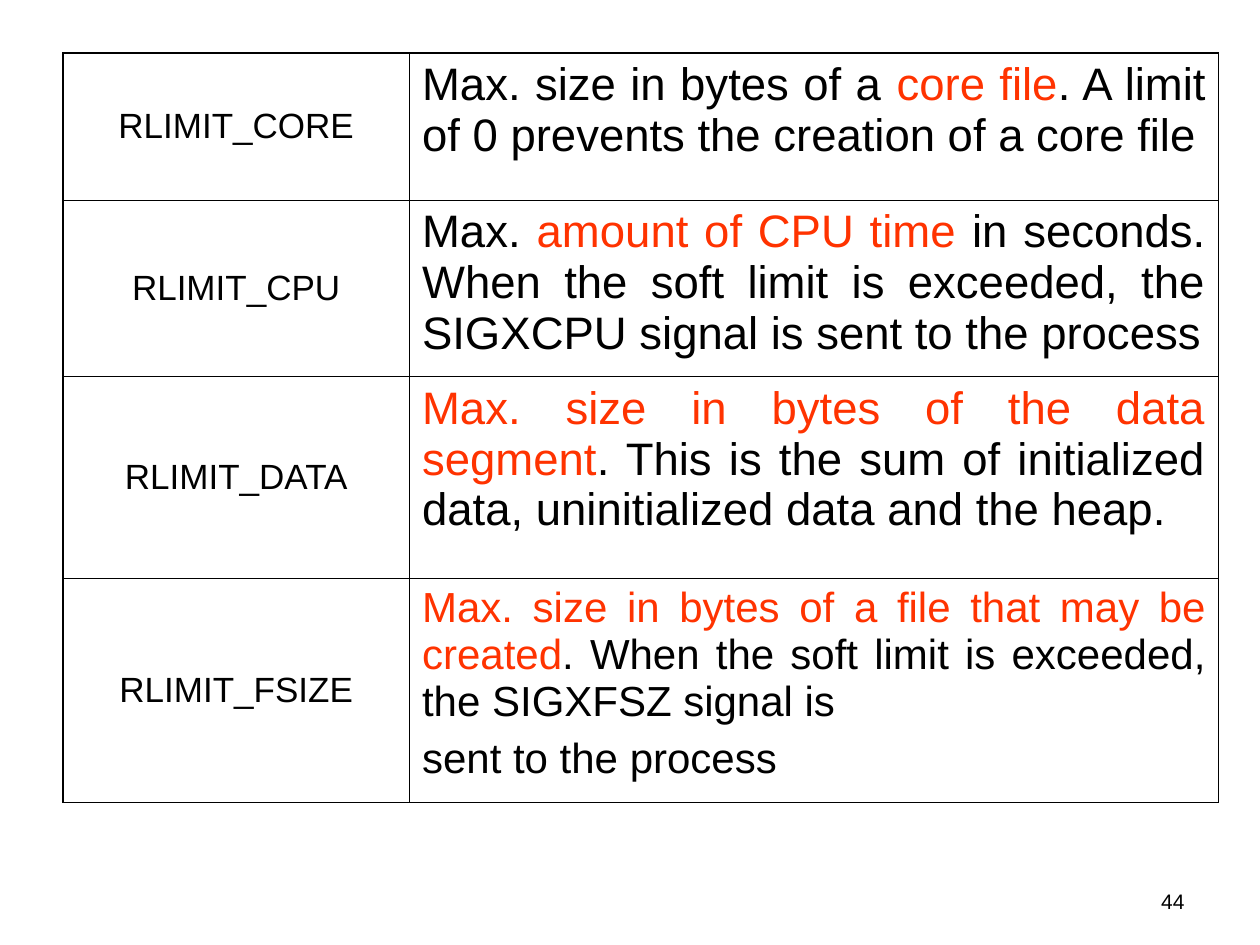
from lxml.etree import SubElement
from pptx import Presentation
from pptx.dml.color import RGBColor
from pptx.enum.text import MSO_ANCHOR as Anchor, PP_ALIGN as Align
from pptx.oxml.ns import qn
from pptx.util import Inches, Pt

BLACK, RED = "000000", "FF3300"
FONT = "Arial"
THIN, THICK = 0.45, 1.08
LEFT, TOP = 0.5, 0.42
COLUMNS = (2.75, 6.42)

# name, row height, text size, paragraphs of (text, colour) spans
LIMITS = [
    ("RLIMIT_CORE", 1.17, 26, [[
        ("Max. size in bytes of a ", BLACK), ("core file", RED),
        (". A limit of 0 prevents the creation of a core file", BLACK)]]),
    ("RLIMIT_CPU", 1.4, 26, [[
        ("Max. ", BLACK), ("amount of CPU time", RED),
        (" in seconds. When the soft limit is exceeded, the SIGXCPU signal "
         "is sent to the process", BLACK)]]),
    ("RLIMIT_DATA", 1.6, 26, [[
        ("Max. size in bytes of the data segment", RED),
        (". This is the sum of initialized data, uninitialized data and the heap.",
         BLACK)]]),
    ("RLIMIT_FSIZE", 1.78, 24, [
        [("Max. size in bytes of a file that may be created", RED),
         (". When the soft limit is exceeded, the SIGXFSZ signal is ", BLACK)],
        [("sent to the process", BLACK)]]),
]
PAGE_NUMBER = "44"


def colour(value):
    """Turn a hex string into a colour."""
    return RGBColor.from_string(value)


def write(frame, paragraphs, size, align, space=0):
    """Fill a text frame with paragraphs of coloured spans."""
    for index, spans in enumerate(paragraphs):
        para = frame.paragraphs[0] if index == 0 else frame.add_paragraph()
        para.alignment = align
        para.space_before = Pt(space)
        for text, tint in spans:
            span = para.add_run()
            span.text = text
            span.font.name = FONT
            span.font.size = Pt(size)
            span.font.color.rgb = colour(tint)


def draw_borders(cell, widths):
    """Give a cell black borders: left, right, top and bottom, in points."""
    properties = cell._tc.get_or_add_tcPr()
    for index, (side, width) in enumerate(zip("LRTB", widths)):
        line = properties.makeelement(qn(f"a:ln{side}"), {"w": str(Pt(width))})
        properties.insert(index, line)
        fill = SubElement(line, qn("a:solidFill"))
        SubElement(fill, qn("a:srgbClr"), val=BLACK)


def add_limits(page):
    """Add the table of resource limits."""
    heights = [limit[1] for limit in LIMITS]
    table = page.shapes.add_table(
        len(LIMITS), len(COLUMNS), Inches(LEFT), Inches(TOP),
        Inches(sum(COLUMNS)), Inches(sum(heights))).table
    table.first_row = table.horz_banding = False
    for column, width in zip(table.columns, COLUMNS):
        column.width = Inches(width)
    last = len(LIMITS) - 1
    for index, (name, height, size, paragraphs) in enumerate(LIMITS):
        table.rows[index].height = Inches(height)
        name_cell, text_cell = table.rows[index].cells
        write(name_cell.text_frame, [[(name, BLACK)]], 20, Align.CENTER, 5)
        write(text_cell.text_frame, paragraphs, size, Align.JUSTIFY, size / 4)
        name_cell.vertical_anchor = Anchor.MIDDLE
        text_cell.vertical_anchor = Anchor.TOP
        top = THICK if index == 0 else THIN
        bottom = THICK if index == last else THIN
        for cell, sides in ((name_cell, (THICK, THIN)), (text_cell, (THIN, THICK))):
            cell.fill.background()
            draw_borders(cell, (*sides, top, bottom))


def add_page_number(page):
    """Add the page number at the lower right."""
    box = page.shapes.add_textbox(Inches(7.17), Inches(6.95), Inches(2.33), Inches(0.4))
    box.text_frame.word_wrap = True
    box.text_frame.vertical_anchor = Anchor.MIDDLE
    write(box.text_frame, [[(PAGE_NUMBER, BLACK)]], 12, Align.RIGHT)


deck = Presentation()
deck.slide_width, deck.slide_height = Inches(10), Inches(7.5)
page = deck.slides.add_slide(deck.slide_layouts[6])
add_limits(page)
add_page_number(page)
deck.save("out.pptx")
